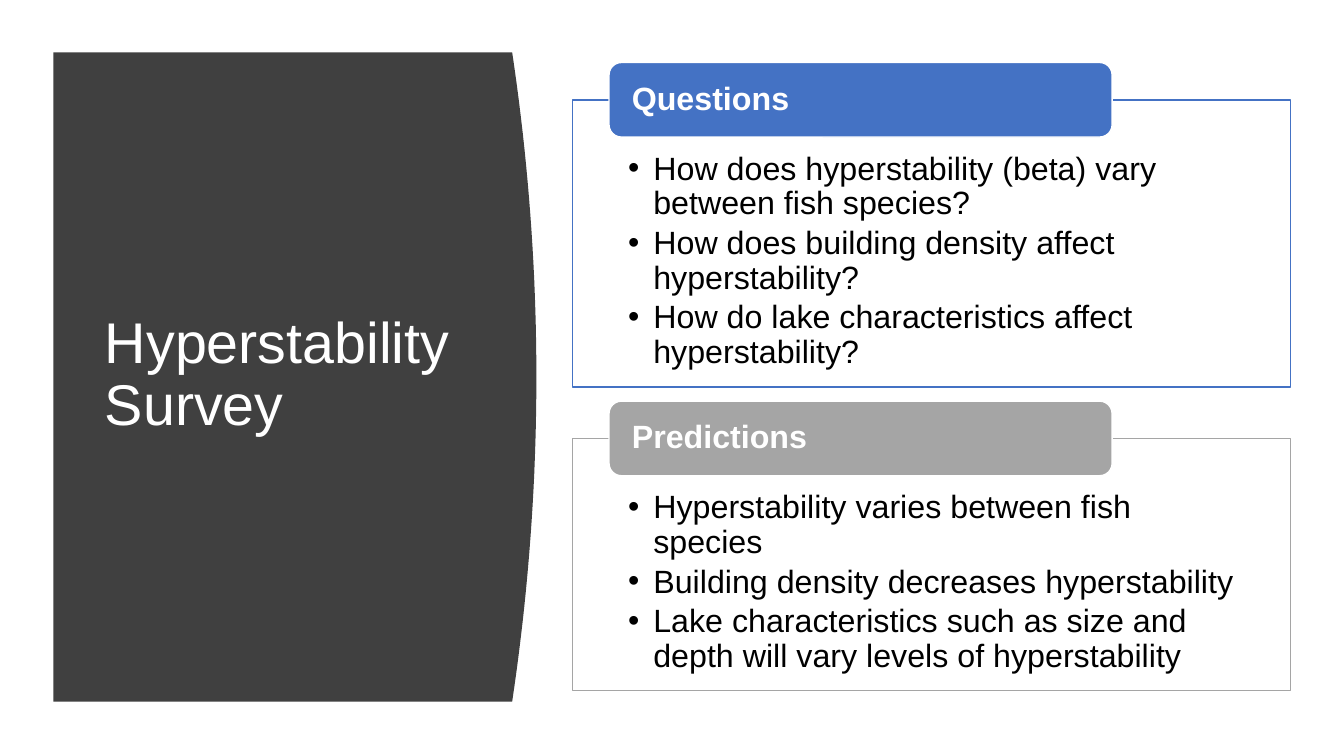
"""Build the hyperstability survey slide with its questions and predictions."""
import pptx
import pptx.util
import pptx.dml.color
import pptx.enum.shapes
import pptx.enum.text
import pptx.oxml
import pptx.oxml.ns

HUES = {"panel": "404040", "blue": "4472C4", "gray": "A5A5A5",
        "white": "FFFFFF", "black": "000000"}
TITLE = "Hyperstability Survey"
CARDS = [
    {"head": "Questions", "hue": "blue", "top": 0.99, "tall": 2.85, "list": [
        "How does hyperstability (beta) vary between fish species?",
        "How does building density affect hyperstability?",
        "How do lake characteristics affect hyperstability?"]},
    {"head": "Predictions", "hue": "gray", "top": 4.35, "tall": 2.5, "list": [
        "Hyperstability varies between fish species",
        "Building density decreases hyperstability",
        "Lake characteristics such as size and depth will vary levels of hyperstability"]},
]
PANEL = {"left": 0.53, "edge": 5.08, "bulge": 0.24, "top": 0.52, "tall": 6.44}
STEPS = 40

Inches = pptx.util.Inches
Pt = pptx.util.Pt
ANCHOR = pptx.enum.text.MSO_ANCHOR
FRAME = {"word_wrap": True, "auto_size": pptx.enum.text.MSO_AUTO_SIZE.NONE}
PARA = {"alignment": pptx.enum.text.PP_ALIGN.LEFT, "line_spacing": 0.9,
        "space_before": Pt(0)}
SIDES = ("margin_left", "margin_top", "margin_right", "margin_bottom")


def put(item, form):
    for name, value in form.items():
        setattr(item, name, value)


def tint(color):
    return pptx.dml.color.RGBColor.from_string(HUES[color])


def place(shape, *box):
    put(shape, dict(zip(("left", "top", "width", "height"), map(Inches, box))))


def paint(shape, fill, line=None):
    shape.fill.solid()
    shape.fill.fore_color.rgb = tint(fill)
    if line:
        shape.line.color.rgb = tint(line)
        shape.line.width = Pt(1)
    else:
        shape.line.fill.background()


def write(shape, lines, hue, font, anchor, pads, after=0):
    frame = shape.text_frame
    put(frame, {**FRAME, "vertical_anchor": anchor})
    put(frame, dict(zip(SIDES, map(Inches, pads))))
    frame.text = "\n".join(lines)
    for para in frame.paragraphs:
        put(para, {**PARA, "space_after": Pt(after)})
        put(para.runs[0].font, {"name": "Arial", **font})
        para.runs[0].font.color.rgb = tint(hue)


def dot(para):
    props = para._p.get_or_add_pPr()
    props.set("marL", str(Inches(0.25)))
    props.set("indent", str(Inches(-0.25)))
    space = pptx.oxml.ns.nsdecls("a")
    for tag in ('buFont %s typeface="Arial"', 'buChar %s char="•"'):
        props.append(pptx.oxml.parse_xml(f"<a:{tag % space}/>"))


def fade(shape, share):
    color = next(shape.element.spPr.iter(pptx.oxml.ns.qn("a:srgbClr")))
    space = pptx.oxml.ns.nsdecls("a")
    color.append(pptx.oxml.parse_xml(f'<a:alpha {space} val="{share * 1000}"/>'))


def curve():
    for step in range(STEPS + 1):
        part = step / STEPS
        bend = 1 - (2 * part - 1) ** 2
        yield (Inches(PANEL["edge"] + PANEL["bulge"] * bend),
               Inches(PANEL["top"] + PANEL["tall"] * part))


def main():
    deck = pptx.Presentation()
    put(deck, {"slide_width": Inches(13.33), "slide_height": Inches(7.5)})
    slide = deck.slides.add_slide(deck.slide_layouts[3])
    shapes = slide.shapes

    left, top = Inches(PANEL["left"]), Inches(PANEL["top"])
    pen = shapes.build_freeform(left, top)
    base = Inches(PANEL["top"] + PANEL["tall"])
    pen.add_line_segments([*curve(), (left, base)], close=True)
    panel = pen.convert_to_shape()
    panel.shadow.inherit = False
    paint(panel, "panel")

    title = shapes.title
    title.element.addprevious(panel.element)
    place(title, 0.94, 1.11, 3.74, 5.24)
    write(title, [TITLE], "white", {"size": Pt(41)}, ANCHOR.MIDDLE,
          (0.1, 0.05, 0.1, 0.05))

    for spot, card in enumerate(CARDS, 1):
        body = slide.placeholders[spot]
        place(body, 5.68, card["top"], 7.12, card["tall"])
        paint(body, "white", card["hue"])
        fade(body, 90)
        write(body, card["list"], "black", {"size": Pt(23)}, ANCHOR.TOP,
              (0.55, 0.52, 0.55, 0.18), 3.45)
        for para in body.text_frame.paragraphs:
            dot(para)

        label = shapes.add_shape(
            pptx.enum.shapes.MSO_SHAPE.ROUNDED_RECTANGLE, 0, 0, 0, 0)
        label.shadow.inherit = False
        place(label, 6.04, card["top"] - 0.37, 4.99, 0.74)
        paint(label, card["hue"], "white")
        write(label, [card["head"]], "white", {"size": Pt(23), "bold": True},
              ANCHOR.MIDDLE, (0.19, 0, 0.19, 0))

    deck.save("out.pptx")


if __name__ == "__main__":
    main()
